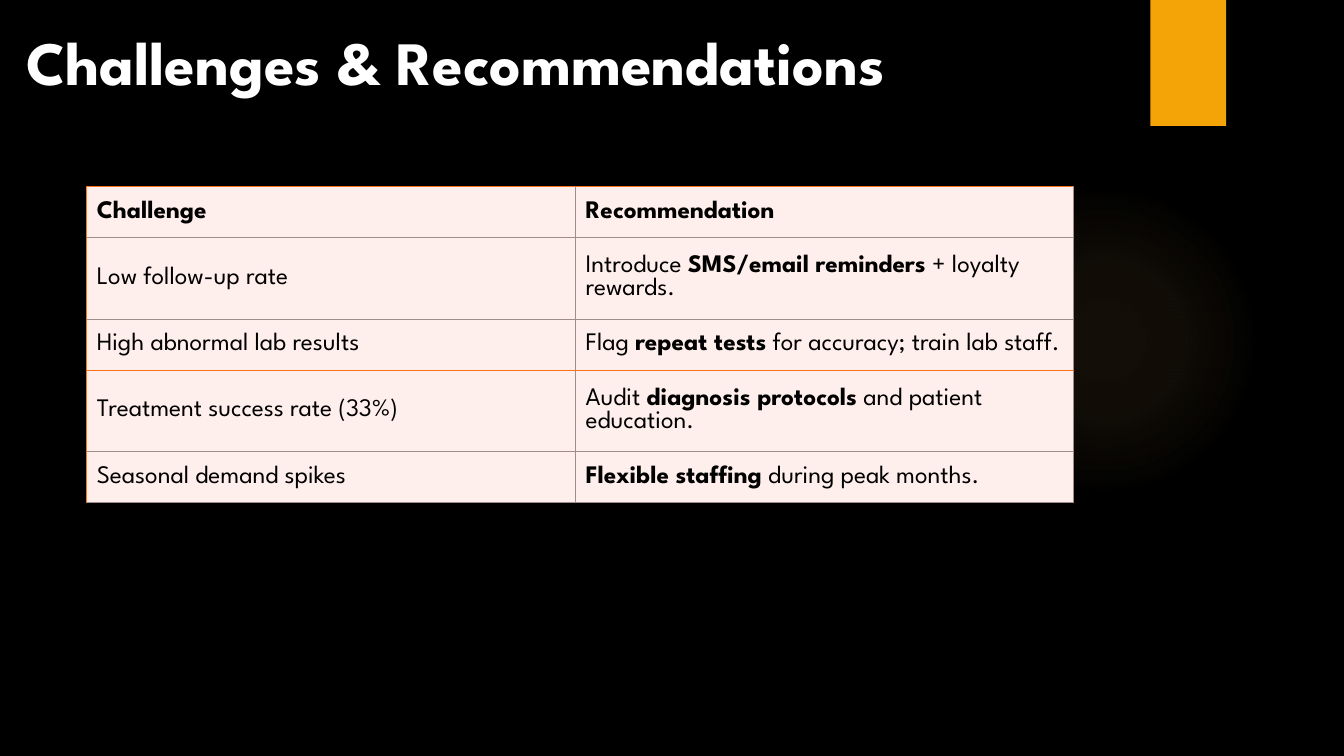
from dataclasses import dataclass

from lxml import etree
from pptx import Presentation
from pptx import util as u
from pptx.dml.color import RGBColor
from pptx.enum import shapes, text
from pptx.oxml import parse_xml
from pptx.oxml.ns import nsdecls, qn


@dataclass(frozen=True)
class Theme:
    font: str = "League Spartan"
    page: str = "000000"
    title: str = "FFFFFF"
    body: str = "000000"
    accent: str = "F5A408"
    glow: str = "FAC96A"
    cell: str = "FFEFEC"
    border: str = "FA731A"
    grid: str = "A08C88"
    title_size: int = 44
    body_size: int = 18


THEME = Theme()
HEADER = ("Challenge", "Recommendation")
# Recommendations are (before, emphasised, after)
ADVICE = [
    ("Low follow-up rate",
     ("Introduce\u00a0", "SMS/email reminders", "\u00a0+ loyalty rewards.")),
    ("High abnormal lab results",
     ("Flag\u00a0", "repeat tests", "\u00a0for accuracy; train lab staff.")),
    ("Treatment success rate (33%)",
     ("Audit\u00a0", "diagnosis protocols", "\u00a0and patient education.")),
    ("Seasonal demand spikes",
     ("", "Flexible staffing", "\u00a0during peak months.")),
]
COLUMN_WIDTHS = (349.2, 355.6)
ROW_HEIGHTS = (36.5, 58.2, 36.5, 58.2, 36.5)


def rgb(code):
    return RGBColor.from_string(code)


def add_span(para, wording, size, color, bold):
    span = para.add_run()
    span.text = wording
    span.font.name = THEME.font
    span.font.size = u.Pt(size)
    span.font.bold = bold
    span.font.color.rgb = rgb(color)


def add_plain_shape(page, kind, box):
    shape = page.shapes.add_shape(kind, *map(u.Pt, box))
    shape.shadow.inherit = False
    shape.line.fill.background()
    return shape


def add_glow(page, box):
    """Add a circle that fades out from its centre."""
    glow = add_plain_shape(page, shapes.MSO_SHAPE.OVAL, box)
    stops = "".join(
        f'<a:gs pos="{place * 1000}"><a:srgbClr val="{THEME.glow}">'
        f'<a:alpha val="{alpha * 1000}"/></a:srgbClr></a:gs>'
        for place, alpha in ((0, 7), (36, 6), (69, 0)))
    fade = parse_xml(
        f'<a:gradFill {nsdecls("a")}><a:gsLst>{stops}</a:gsLst>'
        '<a:path path="circle"><a:fillToRect l="50000" t="50000" '
        'r="50000" b="50000"/></a:path></a:gradFill>')
    glow._element.spPr.find(qn("a:prstGeom")).addnext(fade)


def add_ribbon(page, box):
    ribbon = add_plain_shape(page, shapes.MSO_SHAPE.RECTANGLE, box)
    ribbon.fill.solid()
    ribbon.fill.fore_color.rgb = rgb(THEME.accent)
    ribbon._element.spPr.find(qn("a:effectLst")).append(parse_xml(
        f'<a:outerShdw {nsdecls("a")} blurRad="38100" dist="25400" dir="5400000">'
        '<a:srgbClr val="000000"><a:alpha val="45000"/></a:srgbClr></a:outerShdw>'))


def add_title(page, box, wording):
    frame = page.shapes.add_textbox(*map(u.Pt, box)).text_frame
    frame.word_wrap = True
    frame.vertical_anchor = text.MSO_ANCHOR.BOTTOM
    add_span(frame.paragraphs[0], wording, THEME.title_size, THEME.title, True)


def set_borders(cell, colors):
    """Draw the left, right, top and bottom edges, in that order."""
    properties = cell._tc.get_or_add_tcPr()
    for place, (side, color) in enumerate(zip("LRTB", colors)):
        edge = etree.Element(qn(f"a:ln{side}"), w=str(u.Pt(0.75)))
        fill = etree.SubElement(edge, qn("a:solidFill"))
        etree.SubElement(fill, qn("a:srgbClr"), val=color)
        properties.insert(place, edge)


def fill_cell(cell, spans):
    """Write (wording, bold) spans into a padded, tinted cell."""
    cell.margin_left = cell.margin_right = u.Pt(7.2)
    cell.margin_top = cell.margin_bottom = u.Pt(7.2)
    cell.vertical_anchor = text.MSO_ANCHOR.MIDDLE
    cell.fill.solid()
    cell.fill.fore_color.rgb = rgb(THEME.cell)
    para = cell.text_frame.paragraphs[0]
    for wording, bold in spans:
        if wording:
            add_span(para, wording, THEME.body_size, THEME.body, bold)


def add_advice_table(page, left, top):
    box = (left, top, sum(COLUMN_WIDTHS), sum(ROW_HEIGHTS))
    table = page.shapes.add_table(
        len(ROW_HEIGHTS), len(COLUMN_WIDTHS), *map(u.Pt, box)).table
    table.horz_banding = False
    for column, width in zip(table.columns, COLUMN_WIDTHS):
        column.width = u.Pt(width)
    for row, height in zip(table.rows, ROW_HEIGHTS):
        row.height = u.Pt(height)

    rows = [[[(name, True)] for name in HEADER]]
    for challenge, parts in ADVICE:
        rows.append([[(challenge, False)],
                     list(zip(parts, (False, True, False)))])
    # Horizontal lines from the top edge to the bottom edge
    lines = [THEME.border, THEME.grid, THEME.grid,
             THEME.border, THEME.grid, THEME.grid]
    for r, row in enumerate(rows):
        for c, spans in enumerate(row):
            cell = table.cell(r, c)
            fill_cell(cell, spans)
            left_edge = THEME.grid if c else THEME.border
            set_borders(cell, (left_edge, THEME.grid, lines[r], lines[r + 1]))


def build_slide(deck):
    page = deck.slides.add_slide(deck.slide_layouts[6])
    page.background.fill.solid()
    page.background.fill.fore_color.rgb = rgb(THEME.page)
    add_glow(page, (677.5, 131.8, 221.8, 221.8))
    add_ribbon(page, (821.8, 0, 54, 90))
    add_title(page, (11.5, 13, 754.6, 60.5), "Challenges & Recommendations")
    add_advice_table(page, 61.9, 133.2)


def main():
    deck = Presentation()
    deck.slide_width, deck.slide_height = u.Pt(960), u.Pt(540)
    build_slide(deck)
    deck.save("out.pptx")


if __name__ == "__main__":
    main()
